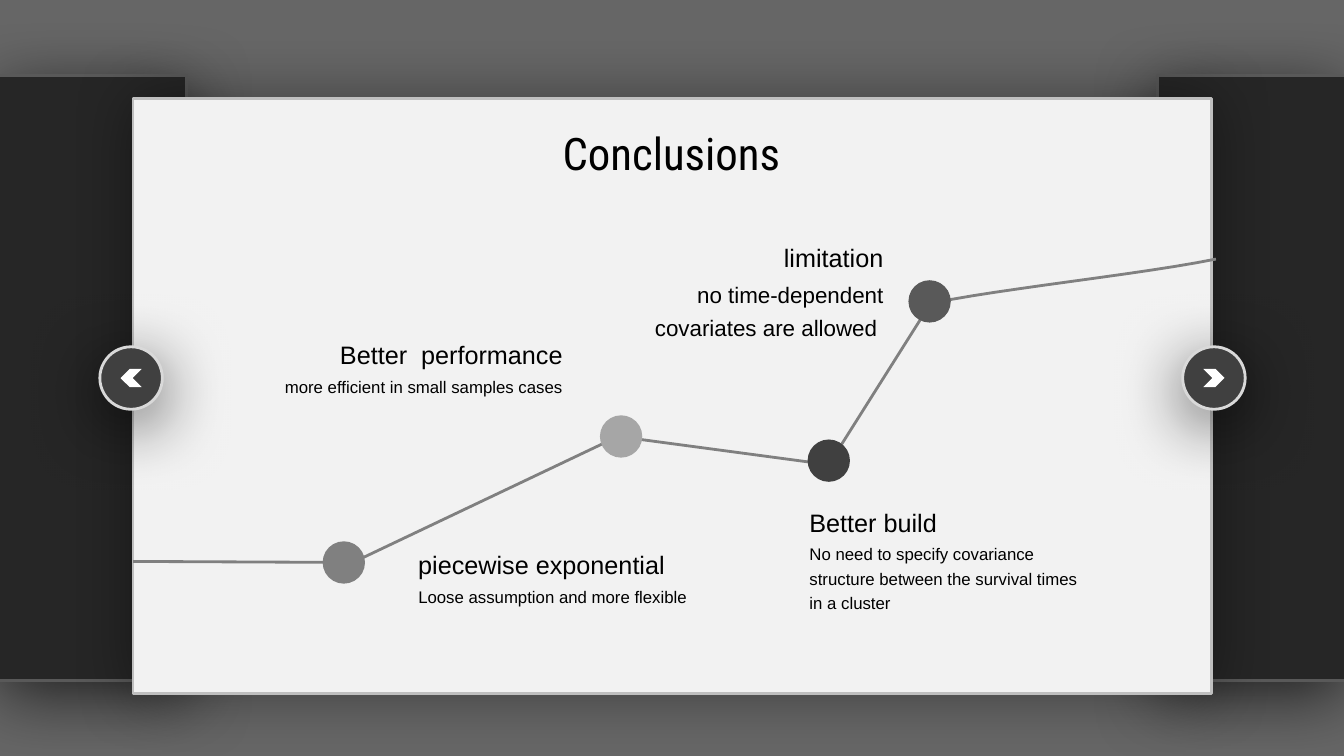
import lxml.etree
import pptx
import pptx.dml.color
import pptx.enum.shapes
import pptx.enum.text
import pptx.oxml.ns
import pptx.util

SHAPE = pptx.enum.shapes.MSO_SHAPE
ALIGN = pptx.enum.text.PP_ALIGN
ANCHOR = pptx.enum.text.MSO_ANCHOR
FIT = pptx.enum.text.MSO_AUTO_SIZE

TITLE = "Conclusions"
CALLOUTS = [
    {"heading": "limitation", "detail": "no time-dependent covariates are allowed ",
     "edge": 88.6, "top": 23, "side": "right", "size": "large"},
    {"heading": "Better  performance", "detail": "more efficient in small samples cases",
     "edge": 56.8, "top": 32.6, "side": "right", "size": "small"},
    {"heading": "piecewise exponential", "detail": "Loose assumption and more flexible",
     "edge": 40.5, "top": 53.4, "side": "left", "size": "small"},
    {"heading": "Better build",
     "detail": "No need to specify covariance structure between the survival times in a cluster",
     "edge": 79.3, "top": 49.2, "side": "left", "size": "small"},
]
MILESTONES = [
    (34.1, 55.8, "grey"),
    (61.6, 43.3, "light"),
    (82.2, 45.7, "dark"),
    (92.2, 29.9, "medium"),
]
ROUTE = [(13.2, 55.7), (35, 55.8), (61.3, 43.3), (82.2, 46.1), (92.3, 30.1)]
ROUTE_CURVE = [(92.3, 30.1), (99.5, 28.6), (113.3, 27.2), (120.6, 25.7)]

THEME = {
    "colours": {"backdrop": "262626", "edge": "595959", "panel": "F2F2F2", "frame": "BFBFBF",
                "ring": "D9D9D9", "white": "FFFFFF", "text": "000000", "grey": "808080",
                "light": "A6A6A6", "dark": "404040", "medium": "595959"},
    "sizes": {"title": 32, "heading": 18, "large": 16, "small": 12},
    "fonts": {"title": "Roboto Condensed", "body": "Arial"},
    "shadows": {"deep": (66, 50, 10), "soft": (40, 44, 0)},
    "line": 2,
}
COLUMNS, ROWS, CELL = 133.3, 75, 0.1
MIDDLE = ROWS / 2
PANEL = (13.2, 9.8, 107, 59)
SIDE_WIDTH, SIDE_TOP, SIDE_BOTTOM = 18.5, 7.5, 67.5
DOT, BUTTON = 4.2, 6.2
HEADING_WIDTH, DETAIL_WIDTH, DETAIL_DROP = 28.3, 30.2, 3.9


def cells(*values):
    return [pptx.util.Inches(value * CELL) for value in values]


def colour(name):
    return pptx.dml.color.RGBColor.from_string(THEME["colours"][name])


def apply(target, **formats):
    for name, value in formats.items():
        setattr(target, name, value)


def child(parent, tag, **attributes):
    element = lxml.etree.SubElement(parent, pptx.oxml.ns.qn(tag))
    for name, value in attributes.items():
        element.set(name, str(value))
    return element


def paint(shape, fill=None, line=None, shadow=None):
    shape.shadow.inherit = False
    if fill:
        shape.fill.solid()
        shape.fill.fore_color.rgb = colour(fill)
    else:
        shape.fill.background()
    if line:
        shape.line.color.rgb = colour(line)
        shape.line.width = pptx.util.Pt(THEME["line"])
    else:
        shape.line.fill.background()
    if shadow:
        alpha, blur, distance = THEME["shadows"][shadow]
        effects = shape._element.spPr.find(pptx.oxml.ns.qn("a:effectLst"))
        outer = child(effects, "a:outerShdw", blurRad=pptx.util.Pt(blur),
                      dist=pptx.util.Pt(distance), dir=90 * 60000, rotWithShape=0)
        tint = child(outer, "a:srgbClr", val=THEME["colours"]["text"])
        child(tint, "a:alpha", val=alpha * 1000)
    return shape


def add_preset(slide, kind, box, **look):
    return paint(slide.shapes.add_shape(kind, *cells(*box)), **look)


def add_centred(slide, kind, x, y, width, height, **look):
    return add_preset(slide, kind, (x - width / 2, y - height / 2, width, height), **look)


def add_outline(slide, points, **look):
    places = [cells(*point) for point in points]
    builder = slide.shapes.build_freeform(*places[0])
    builder.add_line_segments(places[1:], close=False)
    return paint(builder.convert_to_shape(), **look)


def write(shape, text, size, font, alignment, spacing, **frame_formats):
    frame = shape.text_frame
    apply(frame, **frame_formats)
    paragraph = frame.paragraphs[0]
    apply(paragraph, alignment=alignment, line_spacing=spacing)
    run = paragraph.add_run()
    run.text = text
    apply(run.font, name=THEME["fonts"][font], size=pptx.util.Pt(THEME["sizes"][size]))
    run.font.color.rgb = colour("text")


def curve_points(start, first, second, end, steps=12):
    for step in range(1, steps + 1):
        t = step / steps
        weights = ((1 - t) ** 3, 3 * t * (1 - t) ** 2, 3 * t ** 2 * (1 - t), t ** 3)
        controls = (start, first, second, end)
        yield tuple(sum(w * point[axis] for w, point in zip(weights, controls))
                    for axis in (0, 1))


def add_stage(slide):
    backdrop = add_preset(slide, SHAPE.RECTANGLE, (0, 0, COLUMNS, ROWS), fill="backdrop")
    solid = backdrop._element.spPr.find(pptx.oxml.ns.qn("a:solidFill"))
    child(solid[0], "a:alpha", val=70000)
    for outer, inner in ((0, SIDE_WIDTH), (COLUMNS, COLUMNS - SIDE_WIDTH)):
        corners = [(outer, SIDE_TOP), (inner, SIDE_TOP),
                   (inner, SIDE_BOTTOM), (outer, SIDE_BOTTOM)]
        add_outline(slide, corners, fill="backdrop", line="edge", shadow="deep")
    add_preset(slide, SHAPE.RECTANGLE, PANEL, fill="panel", line="frame", shadow="soft")
    for x, rotation in ((PANEL[0] - 0.2, 180), (PANEL[0] + PANEL[2] + 0.2, 0)):
        add_centred(slide, SHAPE.OVAL, x, MIDDLE, BUTTON, BUTTON,
                    fill="dark", line="ring", shadow="deep")
        arrow = add_centred(slide, SHAPE.CHEVRON, x, MIDDLE, 2.1, 1.8, fill="white")
        arrow.rotation = rotation


def add_title(slide):
    title = slide.shapes.title
    left, top, width, height = cells(53.4, 12, 26.4, 6.4)
    apply(title, left=left, top=top, width=width, height=height)
    write(title, TITLE, "title", "title", ALIGN.CENTER, 1.0, word_wrap=False,
          auto_size=FIT.SHAPE_TO_FIT_TEXT, vertical_anchor=ANCHOR.TOP)
    slide.shapes._spTree.append(title._element)


def add_callout(slide, callout):
    on_right = callout["side"] == "right"
    parts = (
        (callout["detail"], callout["size"], DETAIL_WIDTH, DETAIL_DROP),
        (callout["heading"], "heading", HEADING_WIDTH, 0),
    )
    for text, size, width, drop in parts:
        left = callout["edge"] - width * on_right
        box = slide.shapes.add_textbox(*cells(left, callout["top"] + drop, width, 4.3))
        write(box, text, size, "body", ALIGN.RIGHT if on_right else ALIGN.LEFT, 1.2,
              word_wrap=True, auto_size=FIT.SHAPE_TO_FIT_TEXT)


def main():
    presentation = pptx.Presentation()
    width, height = cells(COLUMNS, ROWS)
    apply(presentation, slide_width=width, slide_height=height)
    slide = presentation.slides.add_slide(presentation.slide_layouts[5])
    add_stage(slide)
    add_outline(slide, ROUTE + list(curve_points(*ROUTE_CURVE)), line="grey")
    for x, y, tone in MILESTONES:
        add_centred(slide, SHAPE.OVAL, x, y, DOT, DOT, fill=tone)
    add_title(slide)
    for callout in CALLOUTS:
        add_callout(slide, callout)
    presentation.save("out.pptx")


if __name__ == "__main__":
    main()
